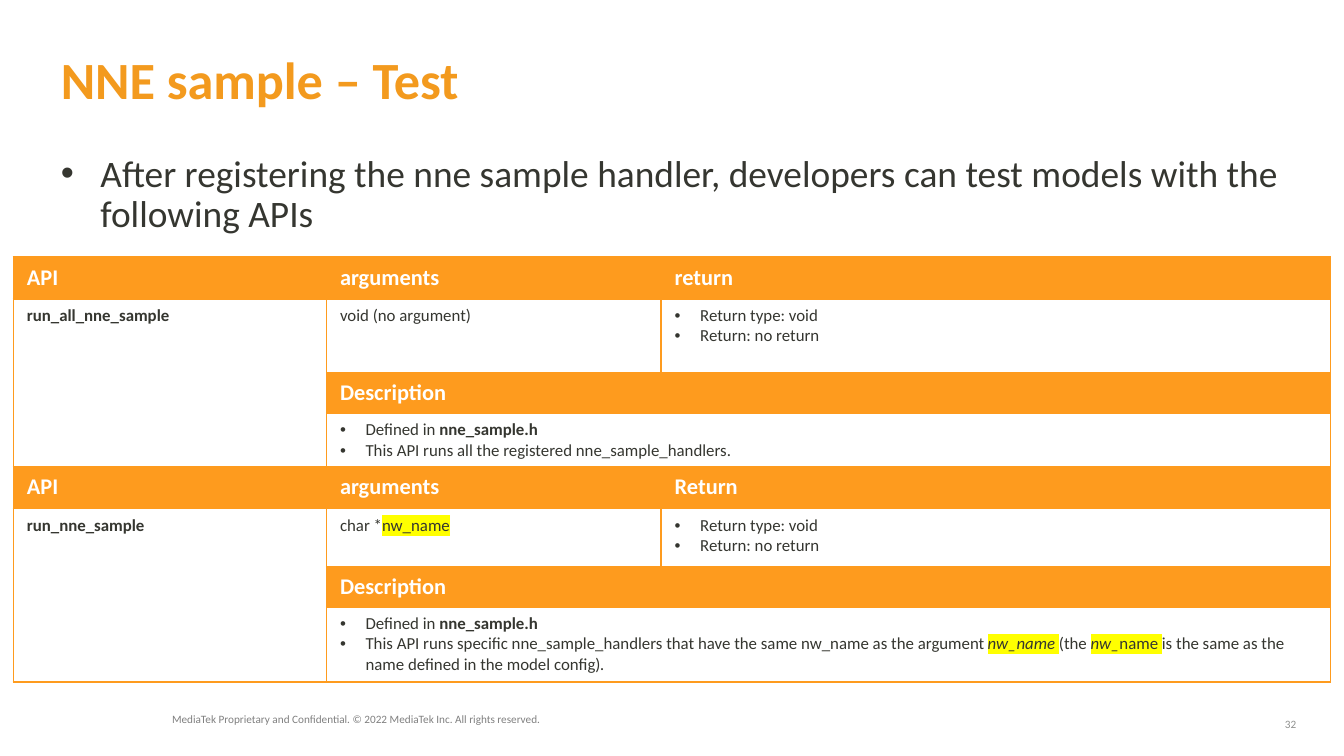
import pptx
import pptx.util
import pptx.dml.color
import pptx.enum.text
import pptx.oxml.ns
import lxml.etree

Pt = pptx.util.Pt
RGB = pptx.dml.color.RGBColor
ALIGN = pptx.enum.text.PP_ALIGN
MID = pptx.enum.text.MSO_ANCHOR.MIDDLE
qn = pptx.oxml.ns.qn

ORANGE = RGB(0xFE, 0x9B, 0x1E)
GOLD = RGB(0xF3, 0x9A, 0x1E)
DARK = RGB(0x35, 0x36, 0x30)
GRAY = RGB(0x80, 0x80, 0x80)
PALE = RGB(0x90, 0x91, 0x8F)
WHITE = RGB(0xFF, 0xFF, 0xFF)
YELLOW = RGB(0xFF, 0xFF, 0x00)

# Widescreen slide, 16 to 9
deck = pptx.Presentation()
deck.slide_width = pptx.util.Inches(10)
deck.slide_height = deck.slide_width * 9 // 16
slide = deck.slides.add_slide(deck.slide_layouts[6])


def grid(n):
    """Length of n columns, with 100 columns across the slide."""
    return int(deck.slide_width * n / 100)


def write(frame, text, size=9, color=DARK, bold=False, indent=0, line=None,
          align=ALIGN.LEFT):
    """Fill a frame; text is a string or a list of paragraphs, each a list of
    (words, marks) runs, where marks may hold b(old), i(talic), h(ighlight)."""
    paras = [[(text, "")]] if isinstance(text, str) else text
    frame.word_wrap = True
    for n, runs in enumerate(paras):
        para = frame.add_paragraph() if n else frame.paragraphs[0]
        para.alignment = align
        if line:
            para.line_spacing = line
        if indent:
            props = para._p.get_or_add_pPr()
            props.set("marL", str(grid(indent)))
            props.set("indent", str(-grid(indent)))
            face = lxml.etree.SubElement(props, qn("a:buFont"))
            face.set("typeface", "Arial")
            lxml.etree.SubElement(props, qn("a:buChar")).set("char", "•")
        for words, marks in runs:
            run = para.add_run()
            run.text = words
            font = run.font
            font.name, font.size = "Calibri", Pt(size)
            font.bold = bold or "b" in marks
            font.italic = "i" in marks
            font.color.rgb = color
            if "h" in marks:
                glow = lxml.etree.Element(qn("a:highlight"))
                lxml.etree.SubElement(glow, qn("a:srgbClr")).set("val", str(YELLOW))
                run._r.rPr.find(qn("a:solidFill")).addnext(glow)


# Title, lead bullet, footer and page number: place, inset, anchor, text, format
for place, pad, mid, text, form in (
    ((3.54, 1.92, 89.9, 7.9), True, True, "NNE sample – Test",
     dict(size=28, color=GOLD, bold=True)),
    ((3.54, 11.05, 92.9, 8), True, False,
     "After registering the nne sample handler, developers can test models "
     "with the following APIs", dict(size=20, indent=2.95, line=0.9)),
    ((12.8, 53.15, 56.1, 2), False, False,
     "MediaTek Proprietary and Confidential. © 2022 MediaTek Inc. "
     "All rights reserved.", dict(size=6, color=GRAY, line=0.9)),
    ((93.45, 53.25, 3, 1.2), False, True, "32",
     dict(size=6, color=PALE, align=ALIGN.RIGHT)),
):
    frame = slide.shapes.add_textbox(*map(grid, place)).text_frame
    if not pad:
        frame.margin_left = frame.margin_right = 0
        frame.margin_top = frame.margin_bottom = 0
    if mid:
        frame.vertical_anchor = MID
    write(frame, text, **form)

# Table frame
COLS = (23.3, 24.9, 49.8)
ROWS = (3.1, 5.5, 3, 4, 3.1, 4.3, 3, 5.6)
table = slide.shapes.add_table(len(ROWS), len(COLS), grid(1), grid(19.13),
                               grid(sum(COLS)), grid(sum(ROWS))).table
table.first_row = table.horz_banding = False
for col, width in zip(table.columns, COLS):
    col.width = grid(width)
for row, height in zip(table.rows, ROWS):
    row.height = grid(height)

# Borders and fills: header bands on every second row
for r in range(len(ROWS)):
    for c in range(len(COLS)):
        cell = table.cell(r, c)
        props = cell._tc.get_or_add_tcPr()
        for side in ("a:lnL", "a:lnR", "a:lnT", "a:lnB"):
            edge = lxml.etree.SubElement(props, qn(side), w=str(Pt(1)))
            ink = lxml.etree.SubElement(edge, qn("a:solidFill"))
            lxml.etree.SubElement(ink, qn("a:srgbClr")).set("val", str(ORANGE))
        if r % 4 == 0 or (r % 4 == 2 and c):
            cell.fill.solid()
            cell.fill.fore_color.rgb = ORANGE
        else:
            cell.fill.background()

# One block of four rows for each API: return label, name, argument, notes
BLOCKS = (
    ("return", "run_all_nne_sample", [("void (no argument)", "")],
     [("This API runs all the registered nne_sample_handlers.", "")]),
    ("Return", "run_nne_sample", [("char *", ""), ("nw_name", "h")],
     [("This API runs specific nne_sample_handlers that have the same nw_name "
       "as the argument ", ""), ("nw_name ", "ih"), ("(the ", ""),
      ("nw_", "ih"), ("name ", "h"),
      ("is the same as the name defined in the model config)", ""),
      (".", "i")]),
)
for n, (label, name, args, notes) in enumerate(BLOCKS):
    top = 4 * n
    table.cell(top + 1, 0).merge(table.cell(top + 3, 0))
    for r in (top + 2, top + 3):
        table.cell(r, 1).merge(table.cell(r, 2))
    for r, c, head in ((0, 0, "API"), (0, 1, "arguments"), (0, 2, label),
                       (2, 1, "Description")):
        write(table.cell(top + r, c).text_frame, head, size=12, color=WHITE,
              bold=True)
    write(table.cell(top + 1, 0).text_frame, name, bold=True)
    write(table.cell(top + 1, 1).text_frame, [args])
    write(table.cell(top + 1, 2).text_frame,
          [[("Return type: void", "")], [("Return: no return", "")]], indent=1.9)
    write(table.cell(top + 3, 1).text_frame,
          [[("Defined in ", ""), ("nne_sample.h", "b")], notes], indent=1.9)

deck.save("out.pptx")
